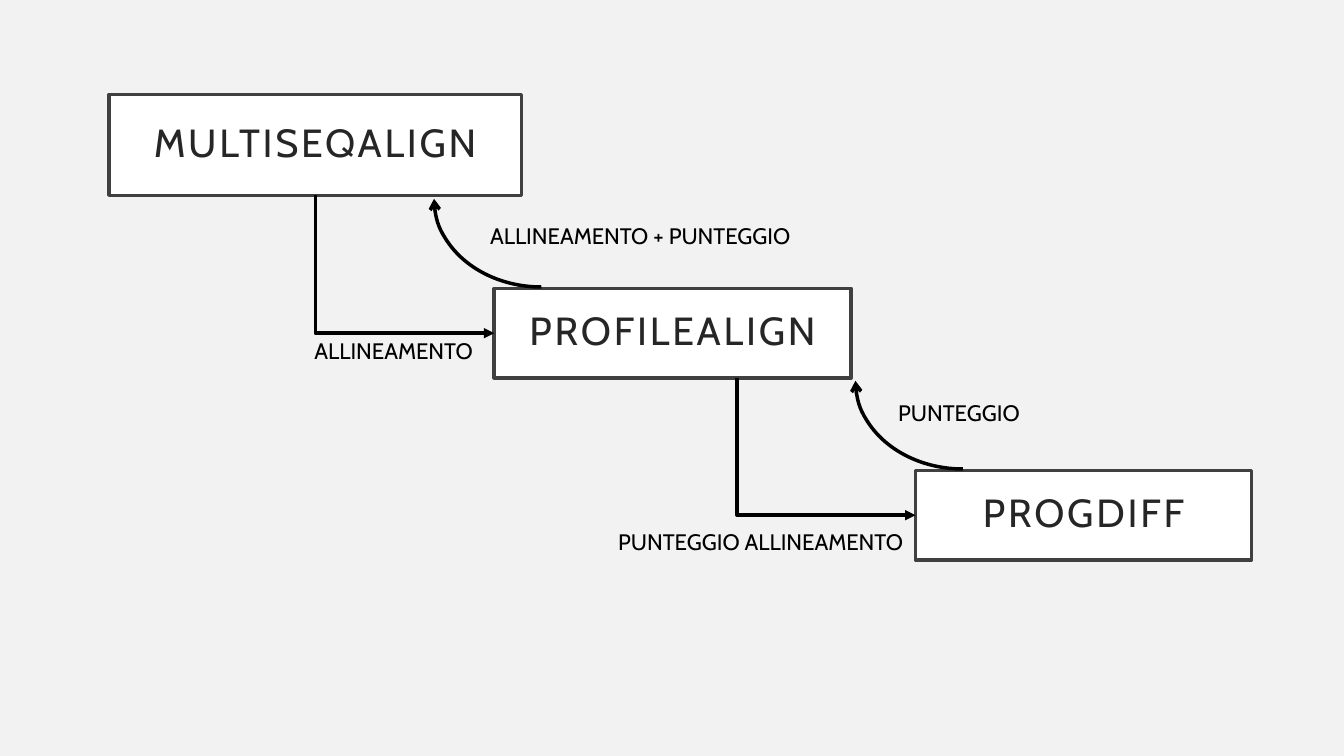
from dataclasses import dataclass

from lxml import etree
from pptx import Presentation
from pptx.dml.color import RGBColor
from pptx.enum import shapes as sh, text as tx
from pptx.oxml.ns import qn
from pptx.util import Pt


@dataclass(frozen=True)
class Theme:
    back: str = "F2F2F2"
    box: str = "FFFFFF"
    edge: str = "404040"
    name: str = "262626"
    ink: str = "000000"
    font: str = "Cabin"
    big: float = 28
    small: float = 16
    line: float = 2.5


T = Theme()


def rgb(code):
    return RGBColor.from_string(code)


def write(frame, words, size=T.small, color=T.ink, align=tx.PP_ALIGN.LEFT,
          track=None, lead=None, wrap=False, pad=None):
    frame.word_wrap = wrap
    if pad is not None:
        frame.margin_left = frame.margin_right = Pt(pad)
        frame.margin_top = frame.margin_bottom = Pt(pad)
    para = frame.paragraphs[0]
    para.alignment, para.line_spacing = align, lead
    run = para.add_run()
    run.text = words
    run.font.name, run.font.size = T.font, Pt(size)
    run.font.color.rgb = rgb(color)
    if track:
        run.font._element.set("spc", str(track * 100))


def stroke(item, color=T.ink, head=None):
    item.line.color.rgb = rgb(color)
    item.line.width = Pt(T.line)
    if head:
        etree.SubElement(item.line._get_or_add_ln(), qn("a:tailEnd"), type=head)


def module(slide, words, box, shape=None):
    """Draw a module's frame, reusing the given placeholder if any."""
    if shape is None:
        shape = slide.shapes.add_shape(sh.MSO_SHAPE.RECTANGLE, *map(Pt, box))
        shape.shadow.inherit = False
    else:
        shape.left, shape.top, shape.width, shape.height = map(Pt, box)
    shape.fill.solid()
    shape.fill.fore_color.rgb = rgb(T.box)
    stroke(shape, T.edge)
    frame = shape.text_frame
    frame.auto_size = tx.MSO_AUTO_SIZE.NONE
    frame.vertical_anchor = tx.MSO_ANCHOR.MIDDLE
    write(frame, words, size=T.big, color=T.name, align=tx.PP_ALIGN.CENTER,
          track=2, lead=0.9, wrap=True, pad=14.4)
    return shape


def call(slide, box, target, source=None):
    """Elbow arrow that drops from the caller and enters the box's left side."""
    run, drop = 127.5, 98
    x, y = box[0], box[1] + box[3] / 2
    link = slide.shapes.add_connector(
        sh.MSO_CONNECTOR.ELBOW, Pt(x - run), Pt(y - drop), Pt(x), Pt(y))
    if source is not None:
        link.begin_connect(source, 2)
    link.end_connect(target, 1)
    # A quarter turn plus a flip makes the single bend go down, then right.
    wide, high = link.width, link.height
    link.left += (wide - high) // 2
    link.top += (high - wide) // 2
    link.width, link.height = high, wide
    props = link._element.spPr
    props.find(qn("a:prstGeom")).set("prst", "bentConnector2")
    form = props.find(qn("a:xfrm"))
    form.set("rot", "16200000")
    form.set("flipH", "1")
    stroke(link, head="triangle")
    etree.SubElement(props, qn("a:effectLst"))


def reply(slide, box):
    """Curved arrow from the box's top back up to its caller."""
    arc = slide.shapes.add_shape(
        sh.MSO_SHAPE.ARC, Pt(box[0] - 43), Pt(box[1] - 127), Pt(153.5), Pt(126))
    arc.rotation = 180
    arc.fill.background()
    stroke(arc, head="arrow")
    arc.shadow.inherit = False


def label(slide, box, words, dx, dy, wide):
    """Place a caption at an offset from the box's top left corner."""
    note = slide.shapes.add_textbox(
        Pt(box[0] + dx), Pt(box[1] + dy), Pt(wide), Pt(26.5))
    note.text_frame.auto_size = tx.MSO_AUTO_SIZE.SHAPE_TO_FIT_TEXT
    write(note.text_frame, words)


def flow(slide):
    multi = module(slide, "MULTISEQALIGN", (78, 67.5, 294.5, 72),
                   slide.shapes.title)
    steps = (
        ("PROFILEALIGN", (353, 206, 255, 64), multi,
         (("ALLINEAMENTO", -135.5, 31.5, 132),
          ("ALLINEAMENTO + PUNTEGGIO", -10, -51, 242))),
        ("PROGDIFF", (654, 336, 240, 64), None,
         (("PUNTEGGIO ALLINEAMENTO", -219.5, 37.5, 226),
          ("PUNTEGGIO", -19.5, -54.5, 106))),
    )
    for words, box, source, notes in steps:
        target = module(slide, words, box)
        call(slide, box, target, source)
        reply(slide, box)
        for note in notes:
            label(slide, box, *note)


def main():
    deck = Presentation()
    deck.slide_width, deck.slide_height = Pt(960), Pt(540)
    slide = deck.slides.add_slide(deck.slide_layouts[5])
    slide.background.fill.solid()
    slide.background.fill.fore_color.rgb = rgb(T.back)
    flow(slide)
    deck.save("out.pptx")


if __name__ == "__main__":
    main()
